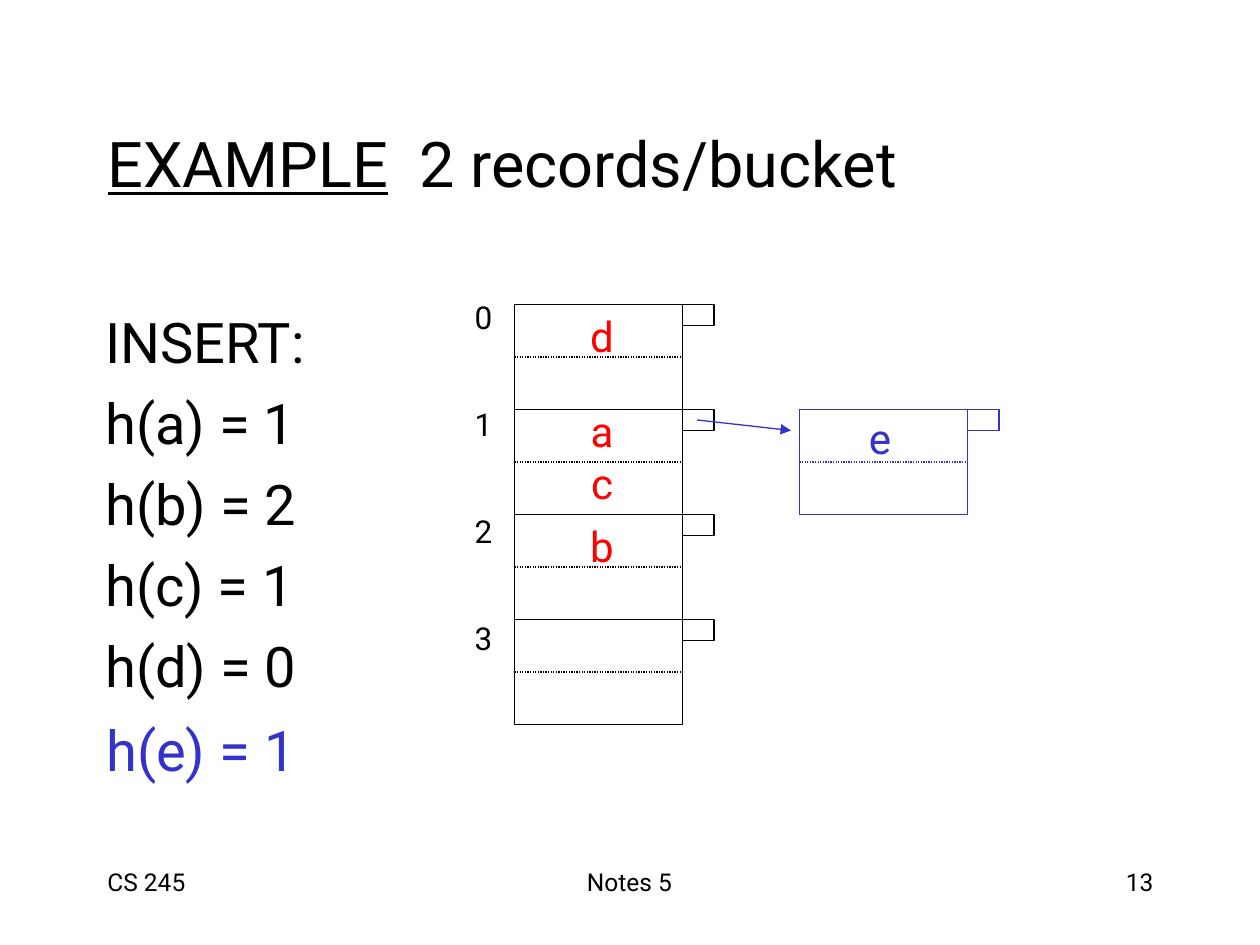
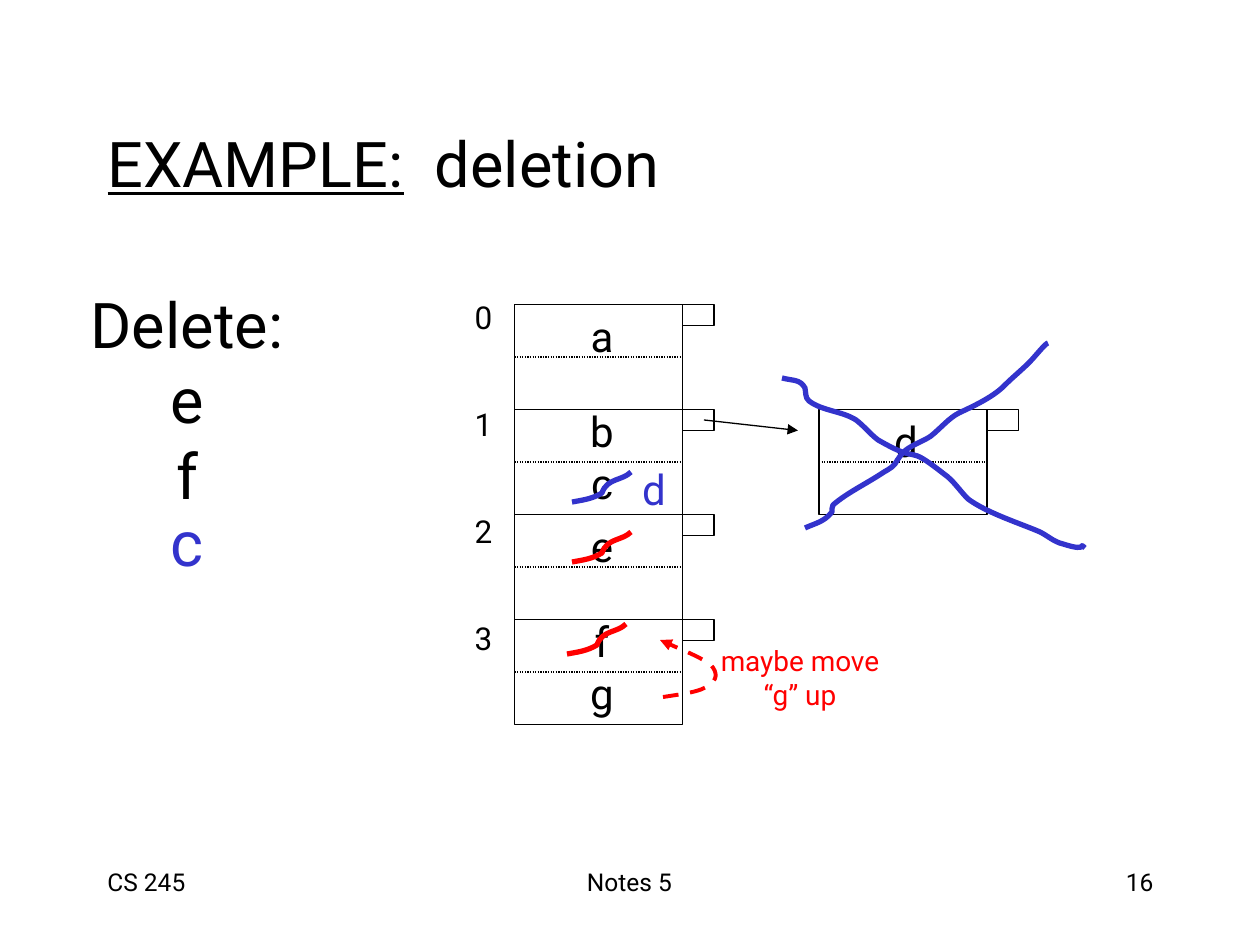
from dataclasses import dataclass

from lxml import etree
from pptx import Presentation
from pptx.dml.color import RGBColor
from pptx.enum.dml import MSO_LINE
from pptx.enum.shapes import MSO_CONNECTOR, MSO_SHAPE
from pptx.enum.text import MSO_ANCHOR, MSO_AUTO_SIZE, PP_ALIGN
from pptx.oxml.ns import qn
from pptx.util import Emu, Pt

# Scale: 126 pixels to the inch
EMU_PER_PIXEL = 914400 / 126

# Shared style
FONT = "Roboto"
BLACK = RGBColor(0x00, 0x00, 0x00)
WHITE = RGBColor(0xFF, 0xFF, 0xFF)
RED = RGBColor(0xFF, 0x00, 0x00)
BLUE = RGBColor(0x33, 0x33, 0xCC)
LEFT, CENTER, RIGHT = PP_ALIGN.LEFT, PP_ALIGN.CENTER, PP_ALIGN.RIGHT
TOP, MIDDLE = MSO_ANCHOR.TOP, MSO_ANCHOR.MIDDLE
DOTTED, DASHED = MSO_LINE.ROUND_DOT, MSO_LINE.DASH
RECTANGLE, STRAIGHT = MSO_SHAPE.RECTANGLE, MSO_CONNECTOR.STRAIGHT
THIN, MEDIUM, THICK = 0.74, 2.24, 3
TITLE_ONLY = 5

# Bucket geometry: half pixels keep the thin outlines crisp
TABLE_LEFT, TABLE_TOP = 514.5, 304.5
BUCKET_WIDTH, BUCKET_HEIGHT = 168, 105
POINTER_WIDTH, POINTER_HEIGHT = 31.5, 21
BUCKET_COUNT = 4
OVERFLOW_TOP = TABLE_TOP + BUCKET_HEIGHT
RECORD_CENTER = 602

# Curves: a start point, then two control points and an end point per segment
STRIKE = [(0, 0), (11, -2), (20, -3), (30, -9), (35, -24), (50, -21), (59, -30)]
MOVE_UP = [(663, 697), (682, 694), (701, 692), (709, 685), (717, 680), (718, 673),
           (711, 665), (702, 658), (680, 649), (660, 640)]
CROSS_RISING = [
    (805, 528), (816, 523), (824, 522), (832, 512), (832, 509), (832, 507), (833, 505),
    (847, 493), (864, 485), (881, 474), (885, 471), (891, 469), (895, 464),
    (898, 459), (901, 454), (906, 450), (914, 444), (924, 441), (931, 436),
    (941, 428), (949, 418), (959, 413), (974, 406), (993, 397), (1004, 386),
    (1016, 374), (1026, 367), (1036, 355), (1037, 354), (1046, 343), (1048, 343)]
CROSS_FALLING = [
    (782, 378), (793, 381), (800, 379), (805, 388), (806, 392), (805, 398), (809, 401),
    (822, 411), (842, 411), (856, 420), (864, 426), (869, 433), (878, 440),
    (925, 467), (902, 441), (944, 474), (953, 480), (960, 491), (968, 499),
    (987, 513), (1019, 523), (1040, 532), (1048, 536), (1054, 542), (1063, 544),
    (1091, 553), (1077, 541), (1085, 548)]

Point = tuple[float, float]


@dataclass
class Box:
    left: float
    top: float
    width: float
    height: float

    def emu(self) -> list[Emu]:
        return [px(value) for value in (self.left, self.top, self.width, self.height)]


@dataclass
class Style:
    size: float
    color: RGBColor = BLACK
    align: PP_ALIGN = CENTER
    anchor: MSO_ANCHOR = MIDDLE
    space_before: float = 0


@dataclass
class Record:
    text: str
    top: int
    color: RGBColor = BLACK
    center: int = RECORD_CENTER


TITLE_BOX = Box(95, 83, 1071, 158)
FOOTERS = [(Box(95, 861, 262, 63), LEFT), (Box(430, 861, 399, 63), CENTER),
           (Box(904, 861, 262, 63), RIGHT)]


def px(pixels: float) -> Emu:
    return Emu(round(pixels * EMU_PER_PIXEL))


def add_text(slide, box: Box, lines: list[str], style: Style) -> None:
    frame = slide.shapes.add_textbox(*box.emu()).text_frame
    frame.word_wrap = True
    frame.vertical_anchor = style.anchor
    for index, line in enumerate(lines):
        paragraph = frame.add_paragraph() if index else frame.paragraphs[0]
        paragraph.text = line
        paragraph.alignment = style.align
        paragraph.space_before = Pt(style.space_before)
        paragraph.font.name = FONT
        paragraph.font.size = Pt(style.size)
        paragraph.font.color.rgb = style.color


def format_line(line, color: RGBColor, width: float, dash=None, arrow: bool = False) -> None:
    line.color.rgb = color
    line.width = Pt(width)
    if dash is not None:
        line.dash_style = dash
    if arrow:
        etree.SubElement(line._get_or_add_ln(), qn("a:tailEnd"), type="triangle")


def add_line(slide, start: Point, end: Point, color: RGBColor, dash=None,
             arrow: bool = False) -> None:
    connector = slide.shapes.add_connector(STRAIGHT, *map(px, start + end))
    format_line(connector.line, color, THIN, dash, arrow)
    etree.SubElement(connector._element.spPr, qn("a:effectLst"))


def add_curve(slide, points: list[Point], color: RGBColor, width: float = THICK,
              dash=None, arrow: bool = False) -> None:
    """Draw an open freeform and turn each three line segments into a cubic curve."""
    builder = slide.shapes.build_freeform(*map(px, points[0]))
    builder.add_line_segments([(px(x), px(y)) for x, y in points[1:]], close=False)
    shape = builder.convert_to_shape()
    segments = list(shape._element.iter(qn("a:lnTo")))
    for first in range(0, len(segments), 3):
        curve = etree.Element(qn("a:cubicBezTo"))
        segments[first].addprevious(curve)
        for segment in segments[first:first + 3]:
            curve.append(segment[0])
            segment.getparent().remove(segment)
    shape.shadow.inherit = False
    shape.fill.background()
    format_line(shape.line, color, width, dash, arrow)


def add_strike(slide, left: int, bottom: int, color: RGBColor) -> None:
    add_curve(slide, [(left + x, bottom + y) for x, y in STRIKE], color)


def add_bucket(slide, left: float, top: float, color: RGBColor = BLACK) -> None:
    """Draw two record slots and the overflow pointer beside them."""
    right = left + BUCKET_WIDTH
    for box in (Box(left, top, BUCKET_WIDTH, BUCKET_HEIGHT),
                Box(right, top, POINTER_WIDTH, POINTER_HEIGHT)):
        shape = slide.shapes.add_shape(RECTANGLE, *box.emu())
        shape.shadow.inherit = False
        shape.fill.solid()
        shape.fill.fore_color.rgb = WHITE
        format_line(shape.line, color, THIN)
    middle = top + BUCKET_HEIGHT / 2
    add_line(slide, (left, middle), (right, middle), color, DOTTED)


def add_hash_table(slide) -> None:
    for number in range(BUCKET_COUNT):
        add_bucket(slide, TABLE_LEFT, TABLE_TOP + number * BUCKET_HEIGHT)
    add_text(slide, Box(462, 292, 43, 368), [str(number) for number in range(BUCKET_COUNT)],
             Style(18, anchor=TOP, space_before=39.5))


def add_records(slide, records: list[Record]) -> None:
    for record in records:
        add_text(slide, Box(record.center - 25, record.top, 50, 63), [record.text],
                 Style(24, record.color))


def add_slide(presentation, underlined: str, rest: str, number: int):
    """Start a slide with its title, footers and hash table."""
    slide = presentation.slides.add_slide(presentation.slide_layouts[TITLE_ONLY])
    title = slide.shapes.title
    title.left, title.top, title.width, title.height = TITLE_BOX.emu()
    frame = title.text_frame
    frame.auto_size = MSO_AUTO_SIZE.NONE
    frame.vertical_anchor = MIDDLE
    paragraph = frame.paragraphs[0]
    paragraph.alignment = LEFT
    paragraph.font.name = FONT
    paragraph.font.size = Pt(36)
    paragraph.font.color.rgb = BLACK
    for text, underline in ((underlined, True), (rest, False)):
        run = paragraph.add_run()
        run.text = text
        run.font.underline = underline
    for (box, align), text in zip(FOOTERS, ("CS 245", "Notes 5", str(number))):
        add_text(slide, box, [text], Style(14, align=align, anchor=TOP))
    add_hash_table(slide)
    return slide


def build_insertion(presentation) -> None:
    slide = add_slide(presentation, "EXAMPLE", "  2 records/bucket", 13)
    # Insert list
    add_text(slide, Box(93, 301, 253, 401),
             ["INSERT:", "h(a) = 1", "h(b) = 2", "h(c) = 1", "h(d) = 0"],
             Style(32, align=LEFT, anchor=TOP, space_before=8))
    add_text(slide, Box(94, 709, 237, 87), ["h(e) = 1"],
             Style(32, BLUE, LEFT, TOP))
    # Overflow bucket
    add_bucket(slide, 799.5, OVERFLOW_TOP, BLUE)
    add_line(slide, (697, 420), (791, 430.5), BLUE, arrow=True)
    # Records
    add_records(slide, [Record("d", 304, RED), Record("a", 399, RED),
                        Record("c", 451, RED), Record("b", 514, RED),
                        Record("e", 406, BLUE, 880)])


def build_deletion(presentation) -> None:
    slide = add_slide(presentation, "EXAMPLE:", "  deletion", 16)
    # Delete list
    add_text(slide, Box(70, 279, 234, 239), ["Delete:", "e", "f"], Style(36))
    add_text(slide, Box(157, 497, 60, 88), ["c"], Style(36, BLUE))
    # Overflow bucket
    add_bucket(slide, 819, OVERFLOW_TOP)
    add_line(slide, (704, 420), (798, 430.5), BLACK, arrow=True)
    # Records
    add_records(slide, [Record("a", 304), Record("b", 399), Record("c", 451),
                        Record("e", 514), Record("f", 609), Record("g", 661),
                        Record("d", 409, center=906), Record("d", 457, BLUE, 654)])
    # Struck-out records
    add_strike(slide, 572, 562, RED)
    add_strike(slide, 567, 654, RED)
    add_strike(slide, 572, 502, BLUE)
    # Optional move of the last record
    add_text(slide, Box(703, 637, 194, 81), ["maybe move", "“g” up"], Style(16, RED))
    add_curve(slide, MOVE_UP, RED, MEDIUM, DASHED, arrow=True)
    # Cross over the freed overflow bucket
    add_curve(slide, CROSS_RISING, BLUE)
    add_curve(slide, CROSS_FALLING, BLUE)


def main() -> None:
    presentation = Presentation()
    presentation.slide_width, presentation.slide_height = px(1260), px(945)
    build_insertion(presentation)
    build_deletion(presentation)
    presentation.save("out.pptx")


main()
